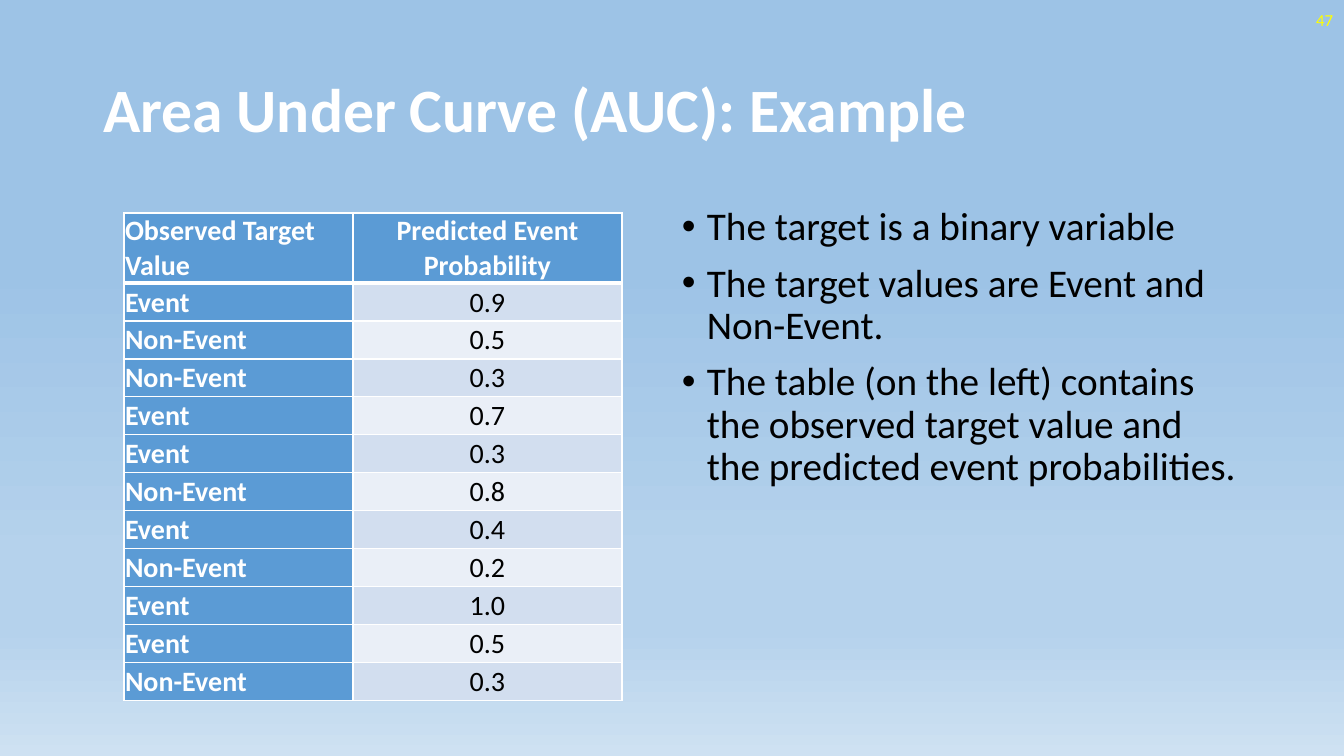
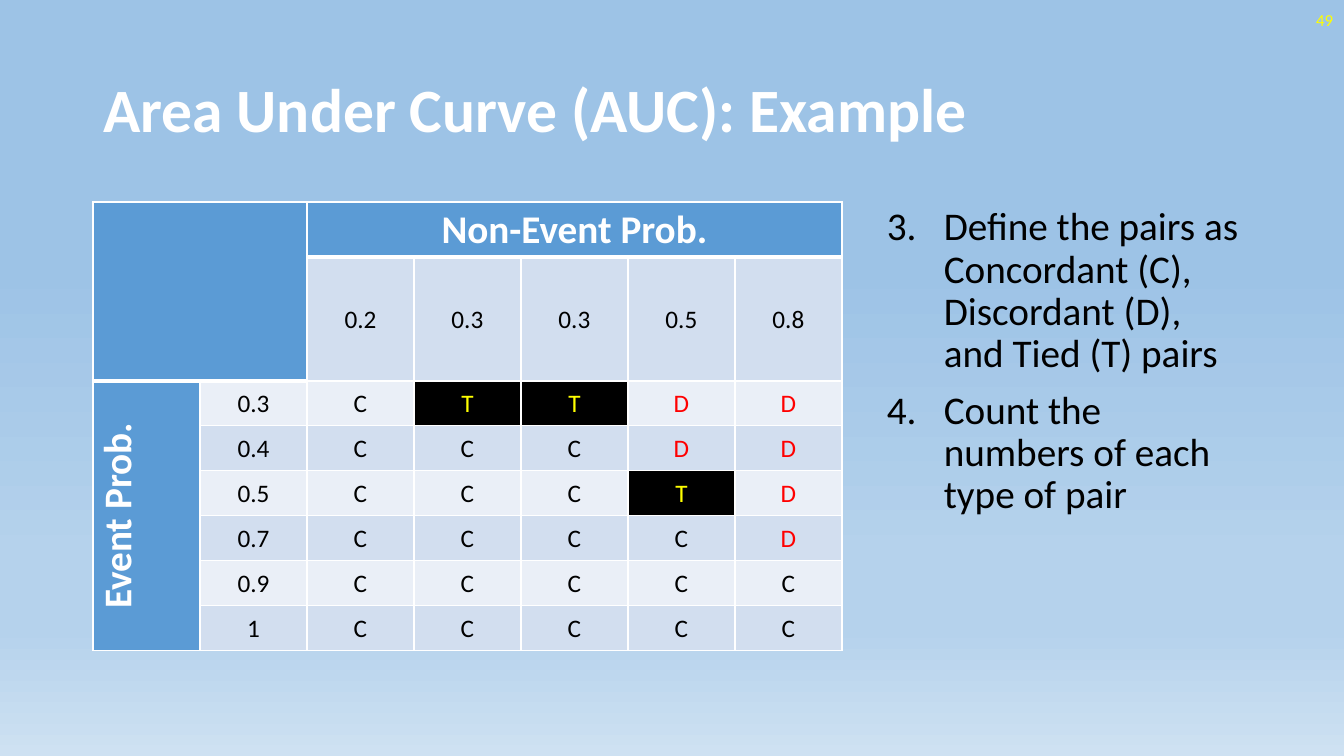
from dataclasses import dataclass

from lxml import etree
from pptx import Presentation
from pptx.dml.color import RGBColor
from pptx.enum.text import MSO_ANCHOR, MSO_AUTO_SIZE, PP_ALIGN
from pptx.oxml.ns import qn
from pptx.util import Emu, Pt

LEFT, CENTER, RIGHT = PP_ALIGN.LEFT, PP_ALIGN.CENTER, PP_ALIGN.RIGHT
MIDDLE, TOP = MSO_ANCHOR.MIDDLE, MSO_ANCHOR.TOP
NO_FIT = MSO_AUTO_SIZE.NONE
TITLE_ONLY = 5


@dataclass(frozen=True)
class Theme:
    font: str = "Calibri"
    white: str = "FFFFFF"
    black: str = "000000"
    yellow: str = "FFFF00"
    red: str = "FF0000"
    header: str = "5B9BD5"
    bands: tuple = ("EAEFF7", "D2DEEF")
    backdrop: tuple = ((35, "9DC3E6"), (74, "B5D2EC"), (83, "B5D2EC"), (100, "CEE1F2"))
    title: int = 44
    body: int = 28
    table: int = 20
    matrix: int = 18
    number: int = 12
    rule: int = 1
    heavy_rule: int = 3


T = Theme()
TITLE_TEXT = "Area Under Curve (AUC): Example"
TITLE_BOX = (93, 40, 1159, 146)
NUMBER_BOX = (1041, 0, 302, 40)

OBSERVATIONS = [
    ("Event", 0.9), ("Non-Event", 0.5), ("Non-Event", 0.3), ("Event", 0.7),
    ("Event", 0.3), ("Non-Event", 0.8), ("Event", 0.4), ("Non-Event", 0.2),
    ("Event", 1.0), ("Event", 0.5), ("Non-Event", 0.3),
]


def px(n):
    """Slide pixels (1344 across 13.33 inches) as EMU."""
    return Emu(round(n * 914400 / 100.8))


def set_attrs(obj, values):
    for name, value in values.items():
        setattr(obj, name, value)


def write(p, text, size, color, bold=False, align=LEFT):
    p.alignment = align
    r = p.add_run()
    r.text = text
    set_attrs(r.font, {"name": T.font, "size": Pt(size), "bold": bold})
    r.font.color.rgb = RGBColor.from_string(color)


def add_solid(parent, color):
    solid = etree.SubElement(parent, qn("a:solidFill"))
    etree.SubElement(solid, qn("a:srgbClr"), val=color)


def set_backdrop(master):
    fill = master.background.fill
    fill.gradient()
    fill.gradient_angle = 270
    stops = next(master.element.iter(qn("a:gsLst")))
    for stop in list(stops):
        stops.remove(stop)
    for percent, color in T.backdrop:
        stop = etree.SubElement(stops, qn("a:gs"), pos=str(percent * 1000))
        etree.SubElement(stop, qn("a:srgbClr"), val=color)


def add_text_box(slide, box, anchor):
    tf = slide.shapes.add_textbox(*map(px, box)).text_frame
    set_attrs(tf, {"word_wrap": True, "auto_size": NO_FIT, "vertical_anchor": anchor})
    return tf


def add_framed_slide(prs, number):
    """Slide with the shared title and its number in the corner."""
    slide = prs.slides.add_slide(prs.slide_layouts[TITLE_ONLY])
    title = slide.shapes.title
    set_attrs(title, dict(zip(("left", "top", "width", "height"), map(px, TITLE_BOX))))
    tf = title.text_frame
    set_attrs(tf, {"word_wrap": True, "auto_size": NO_FIT, "vertical_anchor": MIDDLE})
    tf.paragraphs[0].line_spacing = 0.9
    write(tf.paragraphs[0], TITLE_TEXT, T.title, T.white, bold=True)
    tf = add_text_box(slide, NUMBER_BOX, MIDDLE)
    write(tf.paragraphs[0], str(number), T.number, T.yellow, align=RIGHT)
    return slide


def add_list(slide, box, items, indent, start=None):
    """Bulleted list, or one numbered from start."""
    tf = add_text_box(slide, box, TOP)
    for i, item in enumerate(items):
        p = tf.paragraphs[0] if i == 0 else tf.add_paragraph()
        p.line_spacing = 0.9
        p.space_before = Pt(10 if i else 0)
        pPr = p._p.get_or_add_pPr()
        pPr.set("marL", str(px(indent)))
        pPr.set("indent", str(-px(indent)))
        if start is None:
            etree.SubElement(pPr, qn("a:buFont"), typeface="Arial")
            etree.SubElement(pPr, qn("a:buChar"), char="•")
        else:
            etree.SubElement(pPr, qn("a:buFont"), typeface="+mj-lt")
            etree.SubElement(pPr, qn("a:buAutoNum"), type="arabicPeriod", startAt=str(start))
        write(p, item, T.body, T.black)


def add_grid(slide, left, top, widths, heights):
    table = slide.shapes.add_table(
        len(heights), len(widths), px(left), px(top), px(sum(widths)), px(sum(heights))
    ).table
    set_attrs(table, {"first_row": False, "horz_banding": False})
    for col, width in zip(table.columns, widths):
        col.width = px(width)
    for row, height in zip(table.rows, heights):
        row.height = px(height)
    return table


def fill_cell(cell, text, fill, size, color=T.black, bold=False, align=CENTER, bottom=T.rule):
    set_attrs(cell, {
        "margin_left": px(1), "margin_right": px(1), "margin_top": px(1),
        "margin_bottom": 0, "vertical_anchor": MIDDLE,
    })
    tcPr = cell._tc.get_or_add_tcPr()
    for side, width in zip("LRTB", (T.rule, T.rule, T.rule, bottom)):
        add_solid(etree.SubElement(tcPr, qn(f"a:ln{side}"), w=str(Pt(width))), T.white)
    cell.fill.solid()
    cell.fill.fore_color.rgb = RGBColor.from_string(fill)
    if text:
        write(cell.text_frame.paragraphs[0], text, size, color, bold, align)


def fill_header(cell, text, size, align=CENTER, bottom=T.rule):
    fill_cell(cell, text, T.header, size, T.white, True, align, bottom)


def add_observation_table(slide, left, top):
    table = add_grid(slide, left, top, [229, 269], [70] + [38] * len(OBSERVATIONS))
    headings = (("Observed Target Value", LEFT), ("Predicted Event Probability", CENTER))
    for c, (heading, align) in enumerate(headings):
        fill_header(table.cell(0, c), heading, T.table, align, T.heavy_rule)
    for r, (target, prob) in enumerate(OBSERVATIONS, 1):
        fill_header(table.cell(r, 0), target, T.table, LEFT)
        fill_cell(table.cell(r, 1), f"{prob:.1f}", T.bands[r % 2], T.table)


def pair_style(event, non_event, band):
    """Letter, fill and text colour for a pair of probabilities."""
    if event > non_event:
        return "C", band, T.black
    if event < non_event:
        return "D", band, T.red
    return "T", T.black, T.yellow


def add_pair_matrix(slide, left, top):
    events, non_events = (
        sorted(prob for target, prob in OBSERVATIONS if target == kind)
        for kind in ("Event", "Non-Event")
    )
    last_row, last_col = len(events) + 1, len(non_events) + 1
    table = add_grid(slide, left, top, [107] * (last_col + 1), [55, 124] + [45] * len(events))

    for c in range(last_col + 1):
        heading = "Non-Event Prob." if c == 2 else ""
        fill_header(table.cell(0, c), heading, T.body, bottom=T.heavy_rule)
    for c in range(2):
        fill_header(table.cell(1, c), "", T.body, bottom=T.heavy_rule)
    for c, non_event in enumerate(non_events, 2):
        fill_cell(table.cell(1, c), f"{non_event:g}", T.bands[1], T.matrix)

    for r, event in enumerate(events, 2):
        band = T.bands[r % 2]
        fill_header(table.cell(r, 0), "Event Prob." if r == 2 else "", T.body)
        fill_cell(table.cell(r, 1), f"{event:g}", band, T.matrix)
        for c, non_event in enumerate(non_events, 2):
            letter, fill, color = pair_style(event, non_event, band)
            fill_cell(table.cell(r, c), letter, fill, T.matrix, color)

    table.cell(2, 0)._tc.get_or_add_tcPr().set("vert", "vert270")
    for first, last in (((0, 0), (1, 1)), ((0, 2), (0, last_col)), ((2, 0), (last_row, 0))):
        table.cell(*first).merge(table.cell(*last))


def build_data_slide(prs):
    slide = add_framed_slide(prs, 47)
    add_list(slide, (672, 202, 580, 480), [
        "The target is a binary variable",
        "The target values are Event and Non-Event.",
        "The table (on the left) contains the observed target value and "
        "the predicted event probabilities.",
    ], indent=25)
    add_observation_table(slide, 124, 213)


def build_pairs_slide(prs):
    slide = add_framed_slide(prs, 49)
    add_list(slide, (877, 202, 374, 480), [
        "Define the pairs as Concordant (C), Discordant (D), and Tied (T) pairs",
        "Count the numbers of each type of pair",
    ], indent=57, start=3)
    add_pair_matrix(slide, 93, 202)


def main():
    prs = Presentation()
    set_attrs(prs, {"slide_width": px(1344), "slide_height": px(756)})
    set_backdrop(prs.slide_master)
    build_data_slide(prs)
    build_pairs_slide(prs)
    prs.save("out.pptx")


if __name__ == "__main__":
    main()
